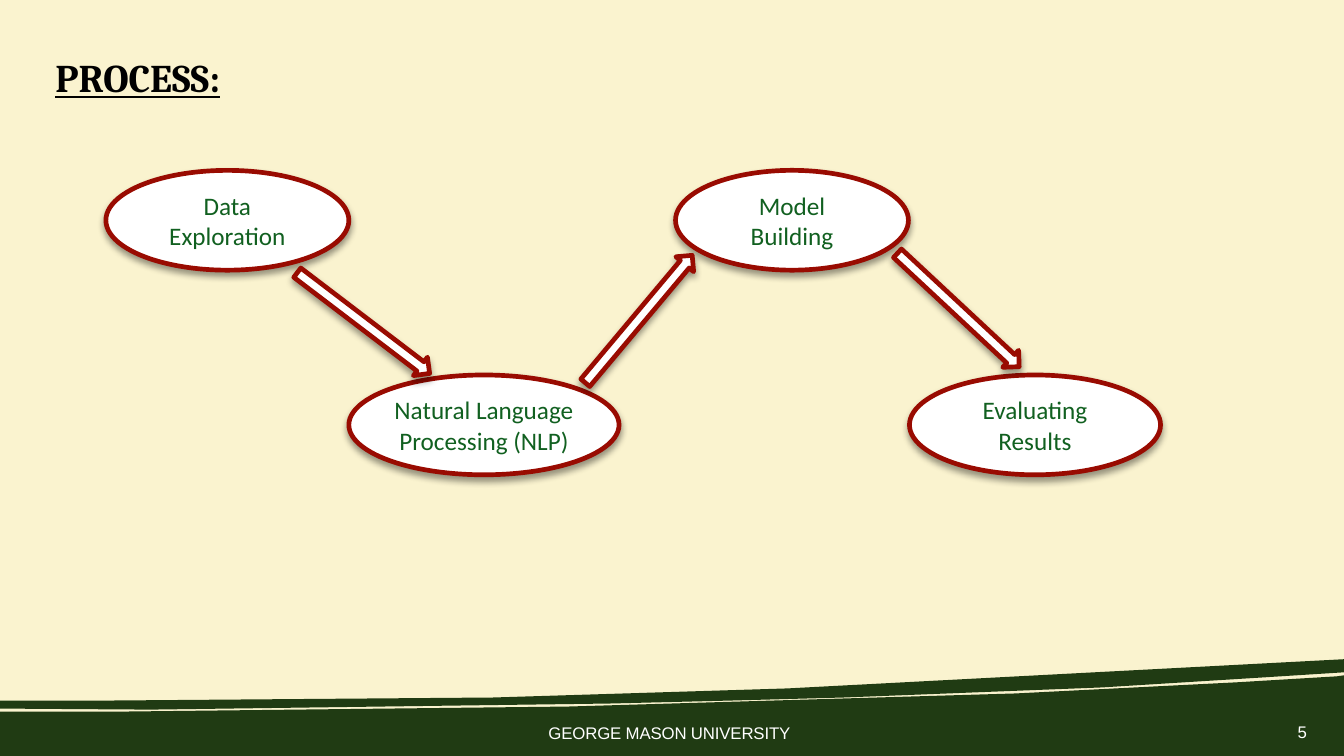
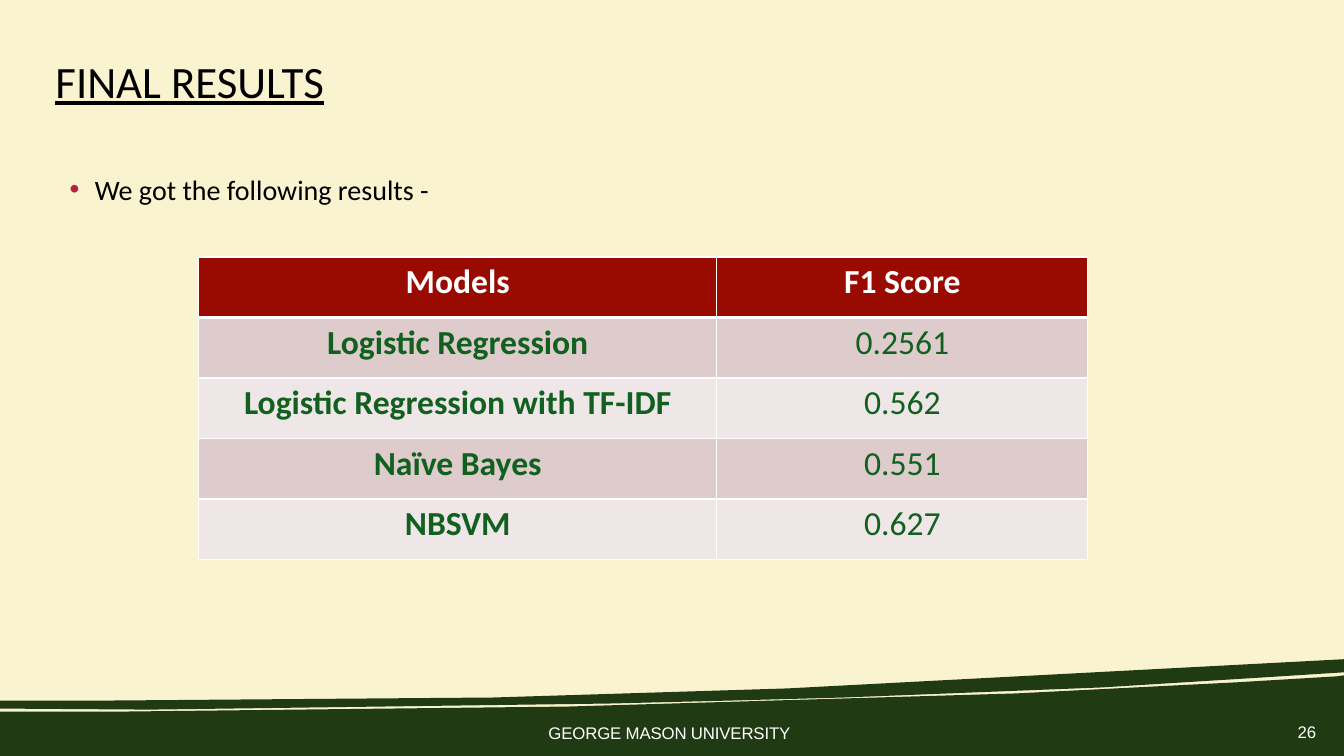
"""Build the process and final results slides of a university presentation."""
from lxml import etree
from pptx import Presentation
from pptx.dml.color import RGBColor
from pptx.enum.shapes import MSO_SHAPE
from pptx.enum.text import MSO_ANCHOR, MSO_AUTO_SIZE, PP_ALIGN
from pptx.oxml.ns import qn
from pptx.util import Inches, Pt

OVAL, ARROW = MSO_SHAPE.FLOWCHART_CONNECTOR, MSO_SHAPE.DOWN_ARROW
TOP, MIDDLE = MSO_ANCHOR.TOP, MSO_ANCHOR.MIDDLE
LEFT, CENTER = PP_ALIGN.LEFT, PP_ALIGN.CENTER
NO_AUTOFIT = MSO_AUTO_SIZE.NONE

CREAM, FOREST, RED, GREEN = "FAF3CF", "203B13", "990B01", "116020"
WHITE, BLACK, BULLET_RED = "FFFFFF", "000000", "B71E42"
ROW_FILLS = ("DECCCC", "EFE7E7")

FOOTER_FONT = {"name": "Arial", "size": Pt(12)}
OVAL_FONT = {"name": "Calibri", "size": Pt(18)}
BODY_FONT = {"name": "Calibri", "size": Pt(20)}
CELL_FONT = {"name": "Calibri", "size": Pt(24)}

BANDS = [
    [(0, 7.06), (0, 7.5), (13.33, 7.5), (13.33, 6.7), (13.26, 6.71),
     (12.26, 6.77), (10.07, 6.88), (5.63, 7.01), (1.2, 7.06)],
    [(0, 6.95), (0, 7.03), (1.49, 7.04), (6.04, 6.98), (7.26, 6.95),
     (8.37, 6.92), (10.93, 6.82), (12.54, 6.72), (13.33, 6.67),
     (13.33, 6.54), (7.81, 6.83), (4.89, 6.92), (1.11, 6.95)],
]
FOOTER = "GEORGE MASON UNIVERSITY"

PROCESS = {
    "title": "PROCESS:", "number": "5", "box": (0.55, 0.53, 9.99, 0.73),
    "font": {"name": "Cambria", "size": Pt(28), "bold": True, "underline": True},
}
RESULTS = {
    "title": "FINAL RESULTS", "number": "26", "box": (0.55, 0.53, 11.83, 0.61),
    "font": {"name": "Calibri", "size": Pt(32), "bold": False, "underline": True},
}

UPPER, LOWER, STEP_HEIGHT = 1.69, 3.72, 0.99
STEPS = [
    ("Data Exploration", 1.05, UPPER, 2.41),
    ("Natural Language Processing (NLP)", 3.46, LOWER, 2.68),
    ("Model Building", 6.7, UPPER, 2.31),
    ("Evaluating Results", 9.02, LOWER, 2.49),
]
ARROW_SIZE = (0.23, 1.65)
ARROWS = [(3.49, 2.38, 307.3), (6.22, 2.34, 220), (9.39, 2.25, 313)]

RESULTS_INTRO = "We got the following results -"
SCORES = [
    ("Models", "F1 Score"),
    ("Logistic Regression", "0.2561"),
    ("Logistic Regression with TF-IDF", "0.562"),
    ("Naïve Bayes", "0.551"),
    ("NBSVM", "0.627"),
]
COLUMN_WIDTHS, ROW_HEIGHT = (5.14, 3.68), 0.6


def inches(values):
    """Turn plain numbers into lengths."""
    return [Inches(value) for value in values]


def paint(fill, colour):
    """Give a fill one solid colour."""
    fill.solid()
    fill.fore_color.rgb = RGBColor.from_string(colour)


def set_all(target, values):
    """Set every attribute named in a dict."""
    for name, value in values.items():
        setattr(target, name, value)


def add_child(parent, tag, **attributes):
    """Append a drawing element to an XML parent."""
    return etree.SubElement(parent, qn(tag), attributes)


def write(frame, text, font, colour, alignment=LEFT, anchor=TOP, margin=0):
    """Put one formatted paragraph into a text frame and return it."""
    set_all(frame, {"word_wrap": True, "auto_size": NO_AUTOFIT, "vertical_anchor": anchor})
    for side in ("left", "right", "top", "bottom"):
        setattr(frame, f"margin_{side}", Inches(margin))
    return write_paragraph(frame.paragraphs[0], text, font, colour, alignment)


def write_paragraph(paragraph, text, font, colour, alignment):
    """Fill a paragraph with one formatted run."""
    paragraph.alignment = alignment
    run = paragraph.add_run()
    run.text = text
    set_all(run.font, font)
    paint(run.font.fill, colour)
    return paragraph


def add_footer_text(slide, text, box):
    """Add one line of footer text."""
    frame = slide.shapes.add_textbox(*inches(box)).text_frame
    paragraph = write(frame, text, FOOTER_FONT, WHITE)
    paragraph.line_spacing = Pt(13)
    paragraph.runs[0].font._element.set("spc", "-10")


def add_slide(presentation, content):
    """Add a slide with its title, bands and footer."""
    slide = presentation.slides.add_slide(presentation.slide_layouts[5])
    for start, *points in BANDS:
        builder = slide.shapes.build_freeform(*inches(start))
        builder.add_line_segments([inches(point) for point in points], close=True)
        band = builder.convert_to_shape()
        band.shadow.inherit = False
        paint(band.fill, FOREST)
        band.line.fill.background()
    add_footer_text(slide, FOOTER, (5.44, 7.19, 2.47, 0.18))
    add_footer_text(slide, content["number"], (12.87, 7.18, 0.32, 0.18))
    title = slide.shapes.title
    set_all(title, dict(zip(("left", "top", "width", "height"), inches(content["box"]))))
    write(title.text_frame, content["title"], content["font"], BLACK)
    return slide


def add_outlined_shape(slide, kind, box):
    """Add a white shape with a red outline and a soft shadow."""
    shape = slide.shapes.add_shape(kind, *inches(box))
    paint(shape.fill, WHITE)
    paint(shape.line.fill, RED)
    shape.line.width = Pt(3.35)
    shape.shadow.inherit = False
    effects = shape._element.spPr.find(qn("a:effectLst"))
    shadow = add_child(effects, "a:outerShdw", blurRad=str(Pt(5)), dist=str(Pt(3)),
                       dir="5400000", rotWithShape="0")
    add_child(add_child(shadow, "a:srgbClr", val=BLACK), "a:alpha", val="40000")
    return shape


def add_process(slide):
    """Draw the four steps and the arrows between them."""
    for text, left, top, width in STEPS:
        oval = add_outlined_shape(slide, OVAL, (left, top, width, STEP_HEIGHT))
        write(oval.text_frame, text, OVAL_FONT, GREEN, CENTER, MIDDLE, 0.05)
    for left, top, rotation in ARROWS:
        arrow = add_outlined_shape(slide, ARROW, (left, top, *ARROW_SIZE))
        arrow.rotation = rotation


def add_intro(slide):
    """Add the bulleted line above the table."""
    frame = slide.shapes.add_textbox(*inches((0.69, 1.54, 11.94, 0.61))).text_frame
    properties = frame.paragraphs[0]._p.get_or_add_pPr()
    properties.set("marL", str(Inches(0.25)))
    properties.set("indent", str(-Inches(0.25)))
    add_child(add_child(properties, "a:buClr"), "a:srgbClr", val=BULLET_RED)
    add_child(properties, "a:buFont", typeface="Arial")
    add_child(properties, "a:buChar", char="•")
    paragraph = write(frame, RESULTS_INTRO, BODY_FONT, BLACK, anchor=MIDDLE)
    paragraph.line_spacing = 1.2


def add_borders(cell, row):
    """Draw white cell borders, heavier under the header row."""
    widths = {"L": 1, "R": 1, "T": 3 if row == 1 else 1, "B": 3 if row == 0 else 1}
    properties = cell._tc.get_or_add_tcPr()
    for side, width in widths.items():
        line = add_child(properties, f"a:ln{side}", w=str(Pt(width)))
        add_child(add_child(line, "a:solidFill"), "a:srgbClr", val=WHITE)


def add_scores(slide):
    """Add the table of model scores."""
    box = (1.97, 2.55, sum(COLUMN_WIDTHS), ROW_HEIGHT * len(SCORES))
    table = slide.shapes.add_table(len(SCORES), len(COLUMN_WIDTHS), *inches(box)).table
    for column, width in zip(table.columns, COLUMN_WIDTHS):
        column.width = Inches(width)
    for row, values in enumerate(SCORES):
        table.rows[row].height = Inches(ROW_HEIGHT)
        header = row == 0
        for column, text in enumerate(values):
            cell = table.cell(row, column)
            add_borders(cell, row)
            paint(cell.fill, RED if header else ROW_FILLS[(row - 1) % 2])
            font = {**CELL_FONT, "bold": header or column == 0}
            write_paragraph(cell.text_frame.paragraphs[0], text, font,
                            WHITE if header else GREEN, CENTER)


def main():
    """Build and save the presentation."""
    presentation = Presentation()
    presentation.slide_width, presentation.slide_height = inches((13.33, 7.5))
    paint(presentation.slide_master.background.fill, CREAM)
    add_process(add_slide(presentation, PROCESS))
    results = add_slide(presentation, RESULTS)
    add_intro(results)
    add_scores(results)
    presentation.save("out.pptx")


if __name__ == "__main__":
    main()
